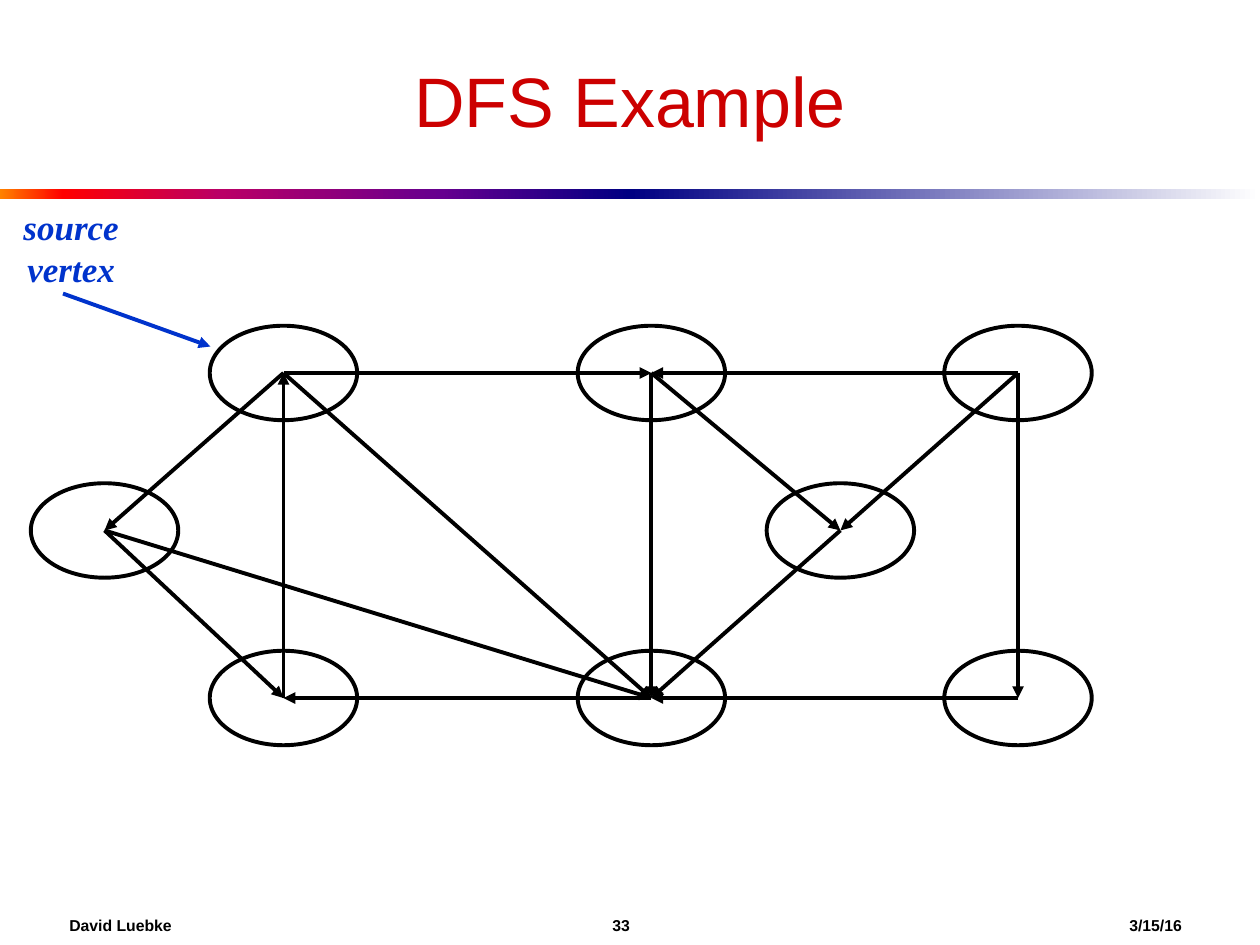
"""Build the DFS example slide: a directed graph with a marked source vertex."""
from lxml.etree import SubElement
from pptx import Presentation
from pptx.dml.color import RGBColor
from pptx.enum.shapes import MSO_CONNECTOR, MSO_SHAPE
from pptx.enum.text import MSO_ANCHOR, PP_ALIGN
from pptx.oxml.ns import qn
from pptx.util import Inches, Pt

BLACK = RGBColor(0x00, 0x00, 0x00)
RED = RGBColor(0xCC, 0x00, 0x00)
BLUE = RGBColor(0x00, 0x33, 0xCC)

BAR_HALVES = [
    (0, [(0, "FF8200"), (10, "FF0000"), (35, "BA0066"), (70, "66008F"), (100, "000082")]),
    (5, [(0, "000082"), (100, "FFFFFF")]),
]
VERTEX_SIZE = (1.17, 0.75)
VERTICES = {
    "top left": (2.25, 2.96),
    "top middle": (5.17, 2.96),
    "top right": (8.08, 2.96),
    "bottom right": (8.08, 5.54),
    "bottom middle": (5.17, 5.54),
    "bottom left": (2.25, 5.54),
    "far left": (0.83, 4.21),
    "inner right": (6.67, 4.21),
}
EDGES = [
    ("top left", "far left"),
    ("far left", "bottom left"),
    ("far left", "bottom middle"),
    ("bottom middle", "bottom left"),
    ("bottom left", "top left"),
    ("top left", "bottom middle"),
    ("top middle", "bottom middle"),
    ("top left", "top middle"),
    ("top right", "top middle"),
    ("top middle", "inner right"),
    ("top right", "inner right"),
    ("top right", "bottom right"),
    ("bottom right", "bottom middle"),
    ("inner right", "bottom middle"),
]
SOURCE_POINTER = ((0.5, 2.33), (1.67, 2.75))

TITLE = {"name": "Arial", "size": Pt(40)}
FOOTER = {"name": "Arial", "size": Pt(9), "bold": True}
SOURCE = {"name": "Times New Roman", "size": Pt(20), "bold": True, "italic": True}
FOOTER_TABS = [(4.38, "ctr"), (8.83, "r")]
LABELS = [
    ("David Luebke\t33\t3/15/16", (0.5, 7.22, 8.95, 0.24), FOOTER, BLACK,
     PP_ALIGN.LEFT, MSO_ANCHOR.MIDDLE, True, FOOTER_TABS),
    ("DFS Example", (0.5, 0.25, 9, 1.08), TITLE, RED,
     PP_ALIGN.CENTER, MSO_ANCHOR.MIDDLE, True, []),
    ("source\vvertex", (0.13, 1.58, 0.87, 0.73), SOURCE, BLUE,
     PP_ALIGN.CENTER, MSO_ANCHOR.TOP, False, []),
]


def inches(values):
    return [Inches(value) for value in values]


def add_bar_half(slide, left, stops):
    half = slide.shapes.add_shape(MSO_SHAPE.RECTANGLE, *inches((left, 1.5, 5, 0.08)))
    half.shadow.inherit = False
    half.line.fill.background()
    half.fill.gradient()
    half.fill.gradient_angle = 0
    stop_list = half._element.spPr.find(qn("a:gradFill")).find(qn("a:gsLst"))
    for stop in list(stop_list):
        stop_list.remove(stop)
    for percent, color in stops:
        stop = SubElement(stop_list, qn("a:gs"), pos=str(percent * 1000))
        SubElement(stop, qn("a:srgbClr"), val=color)


def add_vertex(slide, center):
    corner = [middle - size / 2 for middle, size in zip(center, VERTEX_SIZE)]
    vertex = slide.shapes.add_shape(MSO_SHAPE.OVAL, *inches((*corner, *VERTEX_SIZE)))
    vertex.shadow.inherit = False
    vertex.fill.background()
    vertex.line.color.rgb = BLACK
    vertex.line.width = Pt(2.25)


def add_arrow(slide, start, end, color):
    arrow = slide.shapes.add_connector(MSO_CONNECTOR.STRAIGHT, *inches((*start, *end)))
    arrow.line.color.rgb = color
    arrow.line.width = Pt(2.25)
    SubElement(arrow.line._get_or_add_ln(), qn("a:tailEnd"), type="triangle")
    SubElement(arrow._element.spPr, qn("a:effectLst"))


def add_label(slide, text, box, font_format, color, alignment, anchor, wrap, tabs):
    frame = slide.shapes.add_textbox(*inches(box)).text_frame
    frame_format = {"word_wrap": wrap, "vertical_anchor": anchor}
    for side in ("left", "right", "top", "bottom"):
        frame_format[f"margin_{side}"] = Inches(0.05)
    for attribute, value in frame_format.items():
        setattr(frame, attribute, value)
    paragraph = frame.paragraphs[0]
    paragraph.text = text
    paragraph.alignment = alignment
    if tabs:
        tab_list = SubElement(paragraph._p.get_or_add_pPr(), qn("a:tabLst"))
        for position, align in tabs:
            SubElement(tab_list, qn("a:tab"), pos=str(Inches(position)), algn=align)
    for run in paragraph.runs:
        run.font.color.rgb = color
        for attribute, value in font_format.items():
            setattr(run.font, attribute, value)


def main():
    deck = Presentation()
    deck.slide_width, deck.slide_height = Inches(10), Inches(7.5)
    slide = deck.slides.add_slide(deck.slide_layouts[6])
    for left, stops in BAR_HALVES:
        add_bar_half(slide, left, stops)
    for center in VERTICES.values():
        add_vertex(slide, center)
    for tail, head in EDGES:
        add_arrow(slide, VERTICES[tail], VERTICES[head], BLACK)
    add_arrow(slide, *SOURCE_POINTER, BLUE)
    for label in LABELS:
        add_label(slide, *label)
    deck.save("out.pptx")


main()
